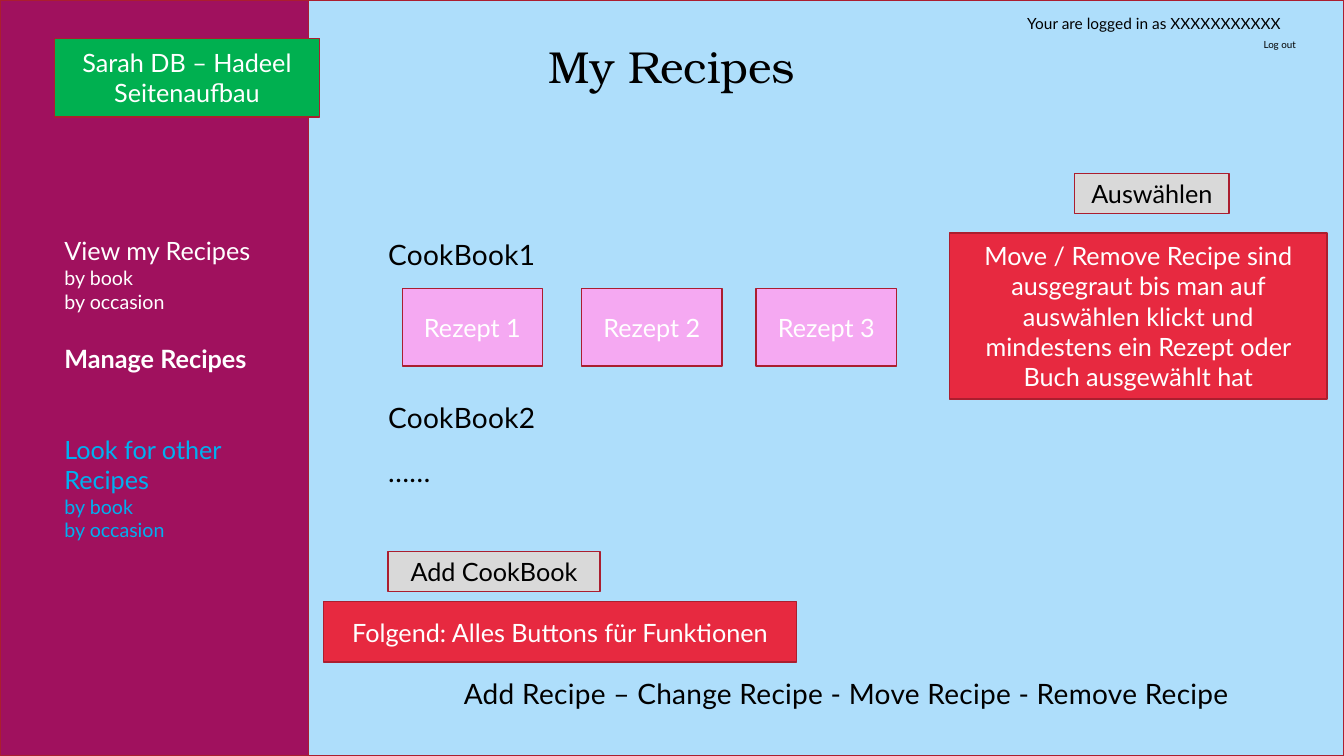
from dataclasses import dataclass

from pptx import Presentation
from pptx.dml.color import RGBColor
from pptx.enum.shapes import MSO_SHAPE
from pptx.enum.text import MSO_ANCHOR, MSO_AUTO_SIZE, PP_ALIGN
from pptx.oxml.ns import qn
from pptx.util import Inches, Pt


@dataclass(frozen=True)
class Theme:
    title_font: str = "TeX Gyre Bonum"
    body_font: str = "Lato"
    backdrop: str = "1E1834"
    content: str = "AEDEFB"
    sidebar: str = "A0115E"
    outline: str = "AB1E2F"
    recipe: str = "F5A9F2"
    note: str = "E72940"
    button: str = "D9D9D9"
    label: str = "00B050"
    link: str = "00B0F0"
    dark: str = "000000"
    light: str = "FFFFFF"
    title_size: int = 32
    heading_size: int = 20
    text_size: int = 18
    sub_size: int = 14
    login_size: int = 11
    logout_size: int = 7


THEME = Theme()


def style(paragraph, size, color, font=THEME.body_font, bold=False):
    paragraph.font.name = font
    paragraph.font.size = Pt(size)
    paragraph.font.bold = bold
    paragraph.font.color.rgb = RGBColor.from_string(color)


def add_box(slide, place, fill, text="", color=THEME.light):
    box = slide.shapes.add_shape(MSO_SHAPE.RECTANGLE, *map(Inches, place))
    box.shadow.inherit = False
    box.fill.solid()
    box.fill.fore_color.rgb = RGBColor.from_string(fill)
    box.line.color.rgb = RGBColor.from_string(THEME.outline)
    box.line.width = Pt(1)
    if text:
        frame = box.text_frame
        frame.word_wrap = True
        frame.vertical_anchor = MSO_ANCHOR.MIDDLE
        paragraph = frame.paragraphs[0]
        paragraph.text = text
        paragraph.alignment = PP_ALIGN.CENTER
        style(paragraph, THEME.text_size, color)


def remove_insets(frame):
    frame.margin_left = frame.margin_top = 0
    frame.margin_right = frame.margin_bottom = 0


def add_text(slide, place, lines, align=PP_ALIGN.LEFT):
    """Add a text box; each line is (text, size, color, bold, space before)."""
    frame = slide.shapes.add_textbox(*map(Inches, place)).text_frame
    frame.word_wrap = True
    for index, (text, size, color, bold, before) in enumerate(lines):
        paragraph = frame.add_paragraph() if index else frame.paragraphs[0]
        paragraph.text = text
        paragraph.alignment = align
        if before:
            paragraph.space_before = Pt(before)
        style(paragraph, size, color, bold=bold)
    return frame


def add_headings(slide, place, lines, align=PP_ALIGN.LEFT):
    """Add loosely set headings; each line is (text, space before)."""
    frame = add_text(
        slide, place,
        [(text, THEME.heading_size, THEME.dark, False, before) for text, before in lines],
        align,
    )
    remove_insets(frame)
    for paragraph in frame.paragraphs:
        paragraph.line_spacing = 1.2
        for run in paragraph.runs:
            run.font._element.set("spc", "20")


def set_title(slide, text):
    title = slide.shapes.title
    title.left, title.top, title.width, title.height = map(Inches, (0.8, 0.38, 11.73, 1.62))
    frame = title.text_frame
    frame.text = text
    frame.auto_size = MSO_AUTO_SIZE.NONE
    frame.vertical_anchor = MSO_ANCHOR.TOP
    remove_insets(frame)
    frame.paragraphs[0].alignment = PP_ALIGN.CENTER
    style(frame.paragraphs[0], THEME.title_size, THEME.dark, THEME.title_font)
    # Bring the title in front of the panels
    title.element.getparent().append(title.element)


def add_menu(slide):
    def entry(text, color, bold=False, before=0):
        return text, THEME.text_size, color, bold, before

    def subentries(color):
        return [(text, THEME.sub_size, color, False, 0) for text in ("by book", "by occasion")]

    add_text(slide, (0.54, 2.29, 2.13, 3.77), [
        entry("View my Recipes", THEME.light),
        *subentries(THEME.light),
        entry("Manage Recipes", THEME.light, bold=True, before=21.6),
        entry("Look for other Recipes", THEME.link, before=43.2),
        *subentries(THEME.link),
    ])


def main():
    presentation = Presentation()
    presentation.slide_width = Inches(13.33)
    presentation.slide_height = Inches(7.5)
    slide = presentation.slides.add_slide(presentation.slide_layouts[5])
    slide.background.fill.solid()
    slide.background.fill.fore_color.rgb = RGBColor.from_string(THEME.backdrop)

    add_box(slide, (3.06, 0, 10.27, 7.5), THEME.content)
    add_box(slide, (0, 0, 3.06, 7.5), THEME.sidebar)
    set_title(slide, "My Recipes")
    add_menu(slide)

    add_text(slide, (10.09, 0.09, 2.84, 0.29),
             [("Your are logged in as XXXXXXXXXXX", THEME.login_size, THEME.dark, False, 0)])
    add_text(slide, (10.11, 0.33, 2.84, 0.22),
             [("Log out", THEME.logout_size, THEME.dark, False, 0)], PP_ALIGN.RIGHT)

    add_headings(slide, (3.85, 2.29, 8.81, 3.53),
                 [("CookBook1", 0), ("CookBook2", 87.6), ("……", 10)])
    add_headings(slide, (3.99, 6.64, 8.81, 0.48),
                 [("Add Recipe – Change Recipe - Move Recipe - Remove Recipe", 0)],
                 PP_ALIGN.CENTER)

    for number, left in enumerate((3.99, 5.77, 7.5), start=1):
        add_box(slide, (left, 2.86, 1.39, 0.77), THEME.recipe, f"Rezept {number}")

    add_box(slide, (3.21, 5.97, 4.69, 0.6), THEME.note, "Folgend: Alles Buttons für Funktionen")
    add_box(slide, (3.85, 5.47, 2.1, 0.4), THEME.button, "Add CookBook", THEME.dark)
    add_box(slide, (10.66, 1.72, 1.53, 0.4), THEME.button, "Auswählen", THEME.dark)
    add_box(slide, (9.42, 2.31, 3.74, 1.65), THEME.note,
            "Move / Remove Recipe sind ausgegraut bis man auf auswählen klickt "
            "und mindestens ein Rezept oder Buch ausgewählt hat")
    add_box(slide, (0.54, 0.38, 2.63, 0.78), THEME.label, "Sarah DB – Hadeel Seitenaufbau")

    presentation.save("out.pptx")


if __name__ == "__main__":
    main()
